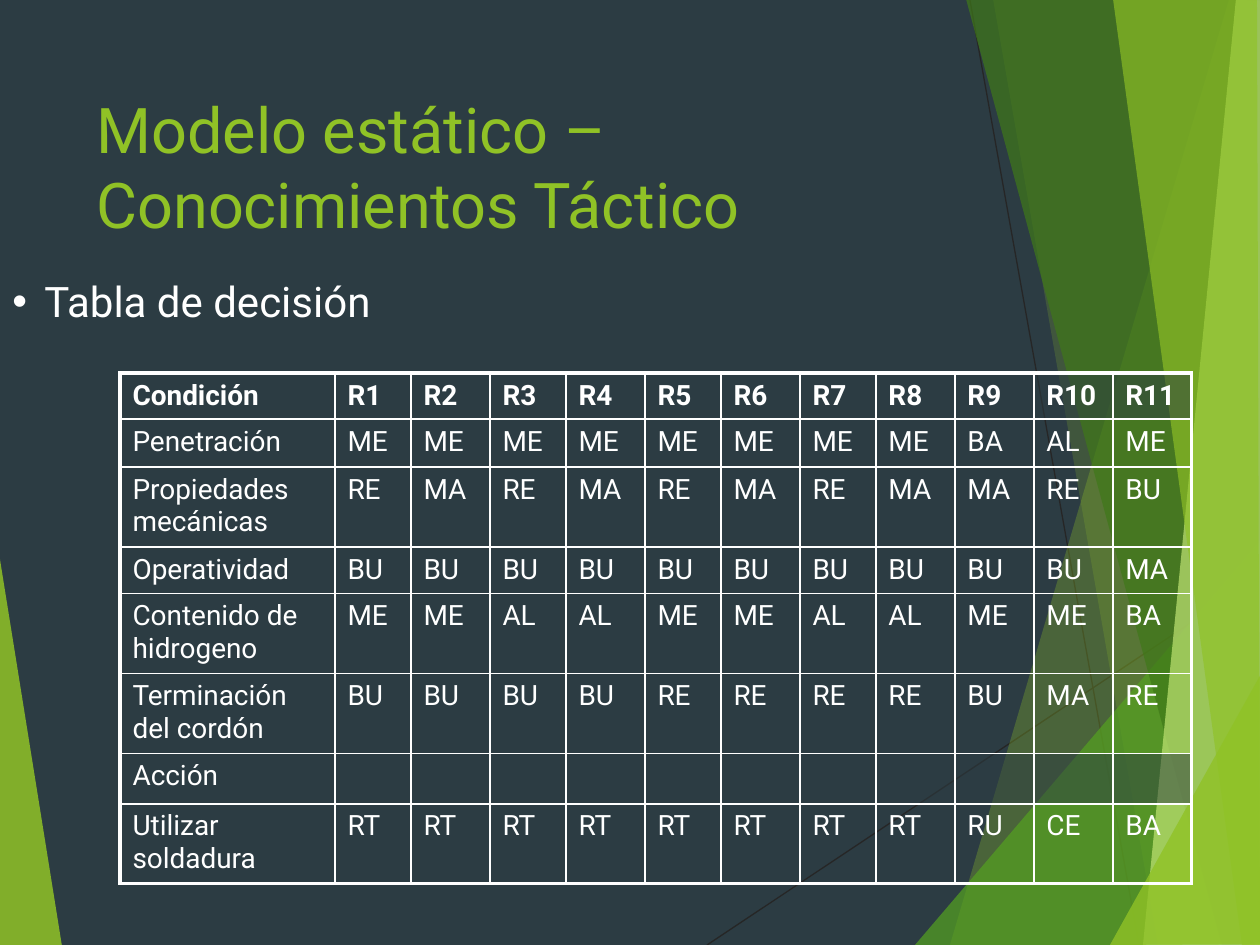
import lxml.etree
import pptx
import pptx.dml.color
import pptx.enum.shapes
import pptx.enum.text
import pptx.oxml.ns
import pptx.util

THEME = {
    "font": "Roboto",
    "background": "2C3C43",
    "green": "90C226",
    "leaf": "54A021",
    "forest": "3F7819",
    "lime": "C0E474",
    "ray": "262626",
    "white": "FFFFFF",
    "title_size": 36,
    "body_size": 24,
    "cell_size": 16,
    "inner_border": 1,
    "outer_border": 2.25,
}
SCALE = 914400 / 126
qn = pptx.oxml.ns.qn


def px(length):
    return pptx.util.Emu(round(length * SCALE))


def paint(fill, color, opacity):
    fill.solid()
    fill.fore_color.rgb = pptx.dml.color.RGBColor.from_string(THEME[color])
    tint = fill._xPr.find(qn("a:solidFill"))[0]
    lxml.etree.SubElement(tint, qn("a:alpha"), val=str(opacity * 1000))


deck = pptx.Presentation()
deck.slide_width, deck.slide_height = px(1260), px(945)
slide = deck.slides.add_slide(deck.slide_layouts[6])
slide.background.fill.solid()
slide.background.fill.fore_color.rgb = pptx.dml.color.RGBColor.from_string(THEME["background"])

for ends in [(707, 945, 1261, 576), (970, 0, 1139, 945)]:
    ray = slide.shapes.add_connector(
        pptx.enum.shapes.MSO_CONNECTOR.STRAIGHT, *[px(end) for end in ends])
    ray.line.width = pptx.util.Pt(0.75)
    ray.line.color.rgb = pptx.dml.color.RGBColor.from_string(THEME["ray"])
    lxml.etree.SubElement(ray._element.spPr, qn("a:effectLst"))

facets = [
    ("green", 85, [(-1, 553), (62, 946), (-1, 945)]),
    ("green", 30, [(1229, 0), (950, 945), (1263, 946), (1261, 1)]),
    ("green", 20, [(993, -1), (1158, 945), (1261, 945), (1261, -1)]),
    ("leaf", 72, [(915, 945), (1260, 541), (1261, 945)]),
    ("forest", 70, [(966, -1), (1222, 945), (1261, 944), (1261, -1)]),
    ("lime", 70, [(1236, -1), (1143, 945), (1261, 945), (1260, -1)]),
    ("green", 65, [(1113, -1), (1242, 945), (1260, 945), (1257, -1)]),
    ("green", 80, [(1110, 945), (1261, 674), (1261, 944)]),
]
for color, opacity, corners in facets:
    outline = slide.shapes.build_freeform(*corners[0], scale=SCALE)
    outline.add_line_segments(corners[1:], close=True)
    facet = outline.convert_to_shape()
    facet.shadow.inherit = False
    facet.line.fill.background()
    paint(facet.fill, color, opacity)

headings = [
    ("Modelo estático – Conocimientos Táctico", (84, 84, 874, 182), "title_size", "green", False),
    ("Tabla de decisión", (0, 275, 1029, 84), "body_size", "white", True),
]
for wording, place, size, color, bulleted in headings:
    heading = slide.shapes.add_textbox(*[px(length) for length in place]).text_frame
    heading.word_wrap = True
    heading.vertical_anchor = pptx.enum.text.MSO_ANCHOR.TOP
    line = heading.paragraphs[0]
    line.text = wording
    if bulleted:
        line.line_spacing = 0.9
        indents = line._p.get_or_add_pPr()
        indents.set("marL", str(px(32)))
        indents.set("indent", str(px(-32)))
        lxml.etree.SubElement(indents, qn("a:buFont"), typeface="Arial")
        lxml.etree.SubElement(indents, qn("a:buChar"), char="•")
    lettering = {"name": THEME["font"], "size": pptx.util.Pt(THEME[size])}
    for attribute, value in lettering.items():
        setattr(line.runs[0].font, attribute, value)
    line.runs[0].font.color.rgb = pptx.dml.color.RGBColor.from_string(THEME[color])

decisions = [
    ("Condición", "R1 R2 R3 R4 R5 R6 R7 R8 R9 R10 R11"),
    ("Penetración", "ME ME ME ME ME ME ME ME BA AL ME"),
    ("Propiedades mecánicas", "RE MA RE MA RE MA RE MA MA RE BU"),
    ("Operatividad", "BU BU BU BU BU BU BU BU BU BU MA"),
    ("Contenido de hidrogeno", "ME ME AL AL ME ME AL AL ME ME BA"),
    ("Terminación del cordón", "BU BU BU BU RE RE RE RE BU MA RE"),
    ("Acción", ""),
    ("Utilizar soldadura", "RT RT RT RT RT RT RT RT RU CE BA"),
]
widths = [215] + [76, 79] * 4 + [79] * 3
heights = [46, 48, 80, 46, 80, 80, 50, 80]
shaded_rows = (0, 6)
last_row, last_column = len(heights) - 1, len(widths) - 1
rules = slide.shapes.add_table(
    len(heights), len(widths), px(120), px(373), px(sum(widths)), px(sum(heights))).table
rules.first_row = rules.horz_banding = False
for column, width in zip(rules.columns, widths):
    column.width = px(width)
for row, height in zip(rules.rows, heights):
    row.height = px(height)

for r, (condition, codes) in enumerate(decisions):
    values = [condition] + codes.split()
    for c in range(len(widths)):
        cell = rules.cell(r, c)
        borders = {"a:lnL": c == 0, "a:lnR": c == last_column,
                   "a:lnT": r == 0, "a:lnB": r == last_row}
        for side, outer in borders.items():
            weight = THEME["outer_border" if outer else "inner_border"]
            border = lxml.etree.SubElement(
                cell._tc.get_or_add_tcPr(), qn(side), w=str(pptx.util.Pt(weight)))
            stroke = lxml.etree.SubElement(border, qn("a:solidFill"))
            lxml.etree.SubElement(stroke, qn("a:srgbClr"), val=THEME["white"])
        if r in shaded_rows:
            paint(cell.fill, "background", 50)
        else:
            cell.fill.background()
        if c < len(values):
            cell.text = values[c]
            lettering = {"name": THEME["font"], "size": pptx.util.Pt(THEME["cell_size"]), "bold": r == 0}
            code = cell.text_frame.paragraphs[0].runs[0]
            for attribute, value in lettering.items():
                setattr(code.font, attribute, value)
            code.font.color.rgb = pptx.dml.color.RGBColor.from_string(THEME["white"])

deck.save("out.pptx")
